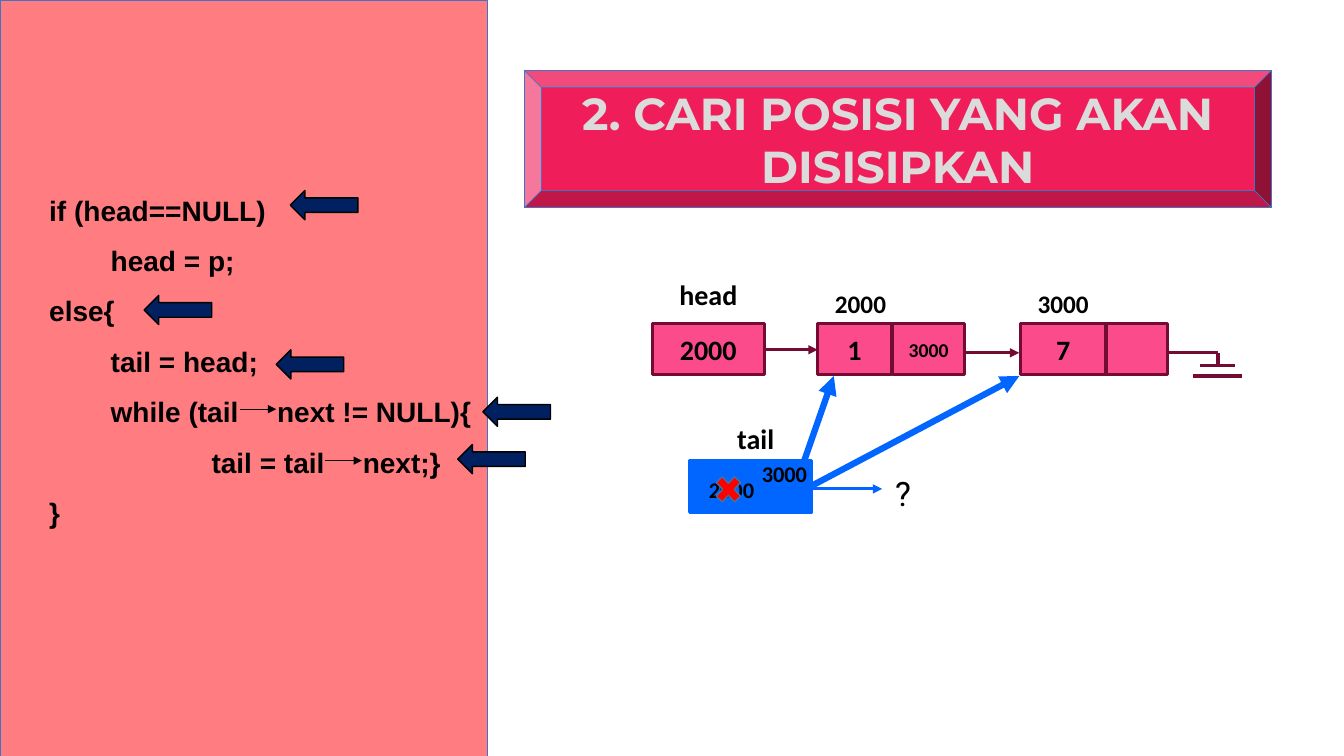
from lxml.etree import SubElement
from pptx import Presentation
from pptx.dml.color import RGBColor
from pptx.enum.shapes import MSO_CONNECTOR, MSO_SHAPE
from pptx.enum.text import MSO_ANCHOR, PP_ALIGN
from pptx.oxml.ns import qn
from pptx.util import Inches, Pt

COLORS = {
    "title": "DBDBDB", "banner": "EF1D59", "edge": "4472C4",
    "node": "FB4B8A", "link": "730B33", "tail": "0066FF",
    "panel": "FF7C80", "marker": "002060", "cross": "FF0000",
    "cross edge": "43739E", "ink": "000000",
}

prs = Presentation()
prs.slide_width, prs.slide_height = Inches(13.33), Inches(7.5)
slide = prs.slides.add_slide(prs.slide_layouts[5])
shapes = slide.shapes


def rgb(name):
    return RGBColor.from_string(COLORS[name])


def write(paragraph, text, size, font="Calibri", bold=True, color="ink"):
    run = paragraph.add_run()
    run.text = text
    run.font.size, run.font.name, run.font.bold = Pt(size), font, bold
    run.font.color.rgb = rgb(color)


# Filled shapes: kind, box, fill, line, line width, text, text size
CELL = MSO_SHAPE.RECTANGLE
BANNER = (5.2, 0.7, 7.41, 1.36)
blocks = [
    (MSO_SHAPE.BEVEL, BANNER, "banner", "edge", 0.5, "", 0),
    (CELL, (6.47, 3.21, 1.11, 0.51), "node", "link", 2.25, "2000", 20),
    (CELL, (8.11, 3.21, 0.73, 0.51), "node", "link", 2.25, "1", 20),
    (CELL, (8.85, 3.21, 0.72, 0.51), "node", "link", 2.25, "3000", 14),
    (CELL, (10.12, 3.21, 0.85, 0.51), "node", "link", 2.25, "7", 20),
    (CELL, (10.97, 3.21, 0.61, 0.51), "node", "link", 2.25, "", 0),
    (CELL, (6.84, 4.57, 1.21, 0.51), "tail", "tail", 2.25, "", 0),
    (CELL, (0, 0, 4.83, 7.5), "panel", "edge", 0.5, "", 0),
]
# Markers beside the code lines
for x, y in [(2.88, 1.89), (1.43, 2.93), (2.74, 3.47), (4.79, 3.94), (4.54, 4.41)]:
    blocks.append((MSO_SHAPE.LEFT_ARROW, (x, y, 0.67, 0.29),
                   "marker", "ink", 1, "", 0))

for kind, box, fill, edge, width, text, size in blocks:
    block = shapes.add_shape(kind, *map(Inches, box))
    block.shadow.inherit = False
    block.fill.solid()
    block.fill.fore_color.rgb = rgb(fill)
    block.line.color.rgb = rgb(edge)
    block.line.width = Pt(width)
    if text:
        block.text_frame.vertical_anchor = MSO_ANCHOR.MIDDLE
        value = block.text_frame.paragraphs[0]
        value.alignment = PP_ALIGN.CENTER
        write(value, text, size)
    if fill == "panel":
        code = block.text_frame
    if fill == "banner":
        shapes._spTree.insert(2, block._element)  # behind the title

# Title on the banner
title = shapes.title
title.left, title.top, title.width, title.height = map(Inches, (5.37, 0.87, 7.07, 1.02))
heading = title.text_frame
heading.word_wrap = True
heading.vertical_anchor = MSO_ANCHOR.MIDDLE
heading.paragraphs[0].alignment = PP_ALIGN.CENTER
write(heading.paragraphs[0], "2. CARI POSISI YANG AKAN DISISIPKAN", 32,
      "Montserrat", color="title")

# Code lines, each with its tab stops in inches
code_lines = [
    ("\tif (head==NULL)", [0.39]),
    ("\thead = p;", [1]),
    ("\telse{", [0.39]),
    ("\ttail = head;", [1]),
    ("\twhile (tail\tnext != NULL){", [1, 2.65]),
    ("\t\ttail = tail\tnext;}", [1, 2, 3.5]),
    ("\t}", [0.39]),
]
code.word_wrap = True
code.vertical_anchor = MSO_ANCHOR.MIDDLE
code.margin_bottom = Inches(0.55)
for i, (text, stops) in enumerate(code_lines):
    line = code.add_paragraph() if i else code.paragraphs[0]
    line.alignment = PP_ALIGN.LEFT
    line.line_spacing = 1.5
    tabs = SubElement(line._p.get_or_add_pPr(), qn("a:tabLst"))
    for stop in stops:
        SubElement(tabs, qn("a:tab"), pos=str(Inches(stop)), algn="l")
    write(line, text, 20, "Arial")

# Labels: text, box, size, line spacing, space before
labels = [
    ("head", (6.55, 2.77, 0.95, 0.38), 20, 0.8, 10),
    ("2000", (8.11, 2.81, 0.85, 0.4), 18, 1, 0),
    ("3000", (10.12, 2.81, 0.85, 0.4), 18, 1, 0),
    ("tail", (7.02, 4.2, 0.95, 0.38), 20, 0.8, 10),
    ("3000", (7.41, 4.52, 0.74, 0.37), 16, 1, 0),
    ("2000", (6.89, 4.67, 0.73, 0.37), 16, 1, 0),
]
for text, box, size, spacing, before in labels:
    frame = shapes.add_textbox(*map(Inches, box)).text_frame
    frame.word_wrap = True
    label = frame.paragraphs[0]
    label.alignment = PP_ALIGN.CENTER
    label.line_spacing, label.space_before = spacing, Pt(before)
    write(label, text, size)

unknown = shapes.add_textbox(*map(Inches, (8.78, 4.44, 0.35, 0.64))).text_frame
unknown.word_wrap = False
unknown.paragraphs[0].line_spacing = 1.5
write(unknown.paragraphs[0], "?", 24, "Roboto", bold=False)

# Cross over the old tail value
cross = shapes.add_shape(MSO_SHAPE.MATH_MULTIPLY, *map(Inches, (7.05, 4.67, 0.35, 0.37)))
cross.shadow.inherit = False
cross.fill.solid()
cross.fill.fore_color.rgb = rgb("cross")
cross.line.color.rgb = rgb("cross edge")
cross.line.width = Pt(1)

# Lines: start, end, colour, width, arrowhead
links = [
    ((7.58, 3.47), (8.11, 3.47), "link", 2.25, True),
    ((9.58, 3.5), (10.11, 3.5), "link", 2.25, True),
    ((11.58, 3.5), (12.08, 3.5), "link", 2.25, False),
    ((12.08, 3.5), (12.08, 3.62), "link", 2.25, False),
    ((11.9, 3.63), (12.25, 3.63), "link", 2.25, False),
    ((11.83, 3.73), (12.32, 3.73), "link", 2.25, False),
    ((2.38, 4.06), (2.74, 4.06), "ink", 0.5, True),
    ((3.22, 4.57), (3.59, 4.57), "ink", 0.5, True),
    ((7.97, 4.59), (8.27, 3.73), "tail", 4.5, True),
    ((8.05, 4.82), (10.11, 3.73), "tail", 4.5, True),
    ((8.05, 4.85), (8.75, 4.85), "tail", 2.25, True),
]
for start, end, color, width, arrow in links:
    link = shapes.add_connector(MSO_CONNECTOR.STRAIGHT, *map(Inches, start + end))
    link.line.color.rgb = rgb(color)
    link.line.width = Pt(width)
    if arrow:
        SubElement(link.line._get_or_add_ln(), qn("a:tailEnd"), type="triangle")
    SubElement(link._element.spPr, qn("a:effectLst"))

prs.save("out.pptx")
